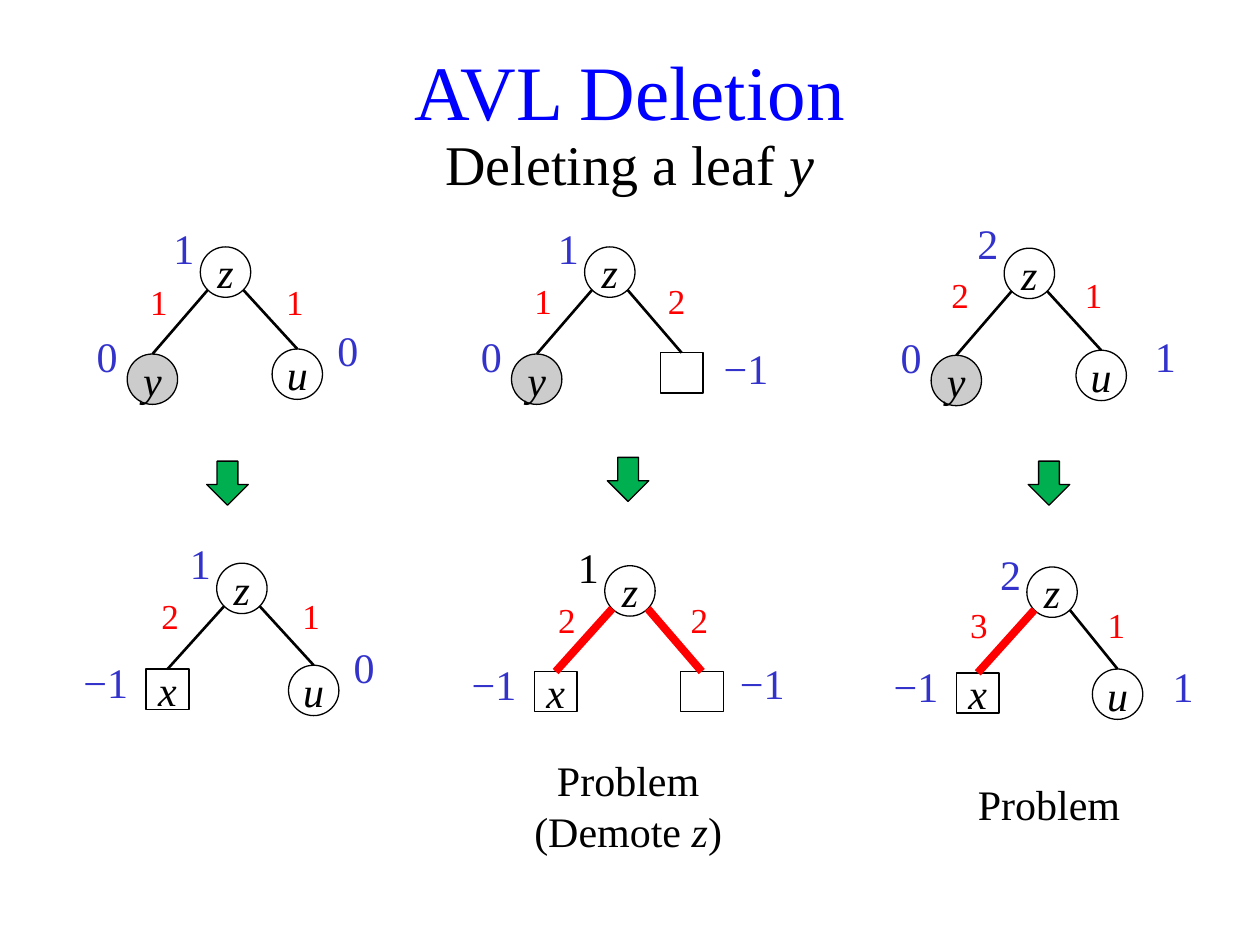
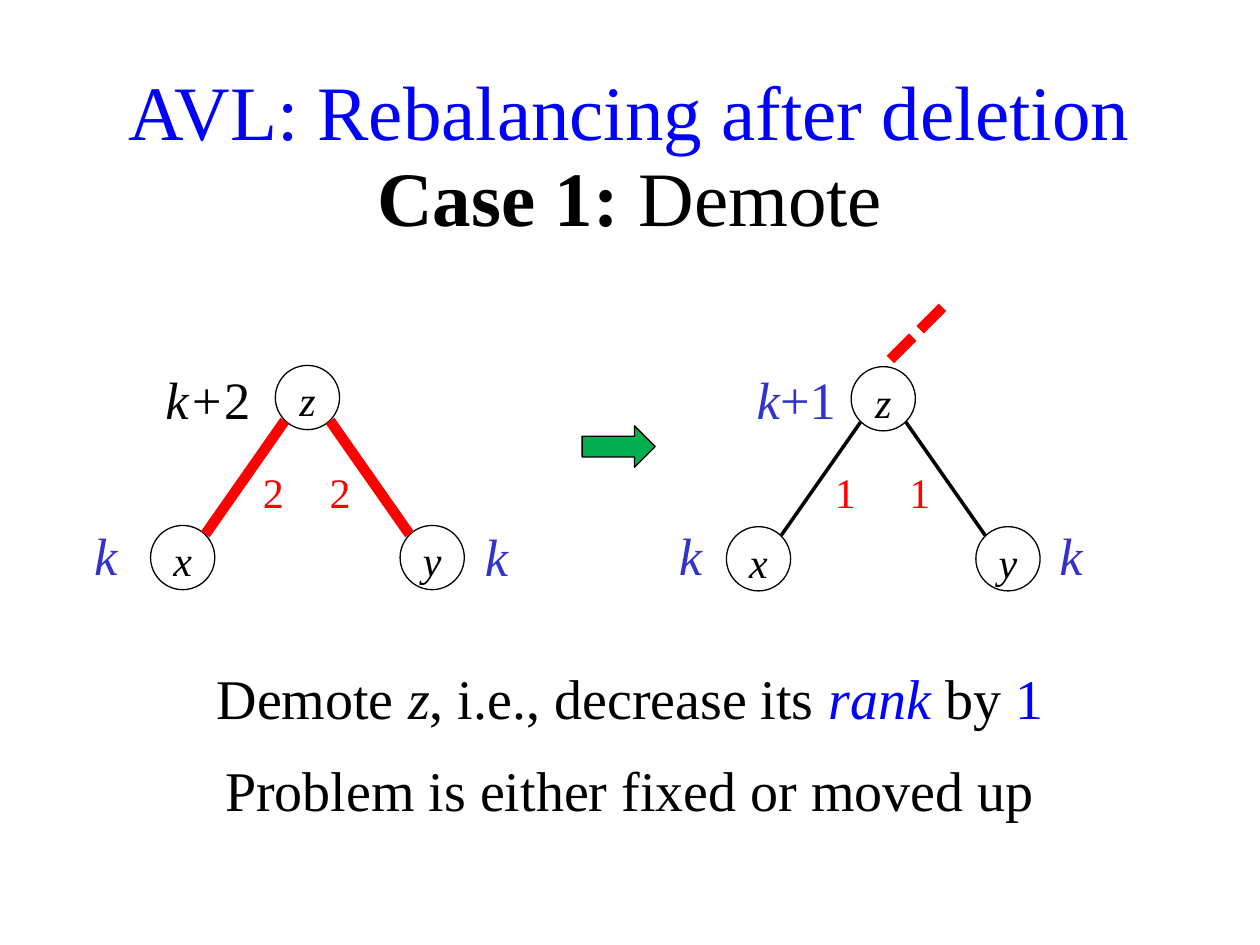
"""Build two slides on deletion and rebalancing in AVL trees."""
from dataclasses import dataclass
from typing import NamedTuple

import pptx
import pptx.dml.color
import pptx.enum.dml
import pptx.enum.shapes
import pptx.enum.text
import pptx.oxml.ns
import pptx.shapes.autoshape
import pptx.shapes.connector
import pptx.shapes.shapetree
import pptx.slide
import pptx.text.text
import pptx.util
from lxml import etree

Inches = pptx.util.Inches
Pt = pptx.util.Pt
RGBColor = pptx.dml.color.RGBColor
Kind = pptx.enum.shapes.MSO_SHAPE
Anchor = pptx.enum.text.MSO_ANCHOR
Shapes = pptx.shapes.shapetree._BaseGroupShapes

BLACK = RGBColor(0x00, 0x00, 0x00)
BLUE = RGBColor(0x00, 0x00, 0xFF)
INDIGO = RGBColor(0x33, 0x33, 0xCC)
RED = RGBColor(0xFF, 0x00, 0x00)
GREEN = RGBColor(0x00, 0xB0, 0x50)
GREY = RGBColor(0xCC, 0xCC, 0xCC)
FACE = "Times New Roman"
WIDE, HIGH = 10, 7.5
BOX_W, BOX_H = 0.34, 0.32


class Spot(NamedTuple):
    """Offset or place in inches."""
    x: float
    y: float


class Run(NamedTuple):
    """Piece of text with its own style."""
    text: str
    slant: bool = False
    bold: bool = False
    ink: RGBColor | None = None


Line = tuple[Run, ...]


class Label(NamedTuple):
    """Text placed by its top centre, relative to the root."""
    line: Line
    x: float
    y: float
    ink: RGBColor = INDIGO


@dataclass(frozen=True)
class Child:
    """Child node with its rank, its rank gap and its edge."""
    key: str
    spot: Spot
    rank: Label
    gap: Label
    box: bool = False
    fill: RGBColor | None = None
    hot: bool = False


@dataclass(frozen=True)
class Tree:
    """Root z, placed by its top centre, with two children."""
    root: Spot
    rank: Label
    kids: tuple[Child, Child]


@dataclass(frozen=True)
class Look:
    """Sizes shared by the trees of one slide."""
    node: float
    anchor: pptx.enum.text.MSO_ANCHOR
    foot: Spot
    tip: Spot
    thin: float
    thick: float
    rank_pt: int
    gap_pt: int
    label_w: float
    gap_h: float


SMALL = Look(0.4, Anchor.MIDDLE, Spot(0.14, 0.34), Spot(0, 0), 1.5, 4.5, 24, 20, 0.51, 0.53)
LARGE = Look(0.51, Anchor.TOP, Spot(0.18, 0.44), Spot(0.18, 0.07), 2, 6, 30, 24, 0.64, 0.5)


def plain(text: str) -> Line:
    """Return a line of one upright run."""
    return (Run(text),)


def mark(text: str, x: float, y: float, ink: RGBColor = INDIGO) -> Label:
    """Return an upright label."""
    return Label(plain(text), x, y, ink)


def left(key: str, rank: str, gap: Label, hot: bool = False) -> Child:
    """Return the left child: a grey leaf y or a missing node x."""
    if key == "y":
        return Child(key, Spot(-0.58, 0.85), mark(rank, -0.94, 0.61), gap, fill=GREY)
    return Child(key, Spot(-0.59, 0.84), mark(rank, -1.08, 0.69), gap, True, hot=hot)


def right(key: str, rank: Label, gap: Label, hot: bool = False, x: float = 0.57) -> Child:
    """Return the right child: a node u or an empty box."""
    return Child(key, Spot(x, 0.81 if key else 0.84), rank, gap, not key, hot=hot)


def case(root: Spot, rank: Label, keys: tuple[Label, Label], gaps: tuple[Label, Label],
         hot: bool) -> Tree:
    """Return a tree of three round nodes z, x and y."""
    kids = tuple(Child(key, Spot(x, 1.27), name, gap, hot=hot)
                 for key, x, name, gap in zip("xy", (-0.99, 0.99), keys, gaps))
    return Tree(root, rank, kids)


K = (Run("k", True),)
FOREST = (
    Tree(Spot(1.79, 1.96), mark("1", -0.33, -0.24),
         (left("y", "0", mark("1", -0.53, 0.22, RED)),
          right("u", mark("0", 0.97, 0.57), mark("1", 0.55, 0.22, RED)))),
    Tree(Spot(4.84, 1.96), mark("1", -0.33, -0.24),
         (left("y", "0", mark("1", -0.53, 0.21, RED)),
          right("", mark("−1", 1.08, 0.71), mark("2", 0.53, 0.21, RED)))),
    Tree(Spot(8.17, 1.97), mark("2", -0.33, -0.29),
         (left("y", "0", mark("2", -0.55, 0.15, RED)),
          right("u", mark("1", 1.08, 0.6), mark("1", 0.51, 0.15, RED)))),
    Tree(Spot(1.92, 4.47), mark("1", -0.33, -0.25),
         (left("x", "−1", mark("2", -0.57, 0.2, RED)),
          right("u", mark("0", 0.97, 0.57), mark("1", 0.55, 0.2, RED)))),
    Tree(Spot(5, 4.49), mark("1", -0.33, -0.24, BLACK),
         (left("x", "−1", mark("2", -0.5, 0.21, RED), True),
          right("", mark("−1", 1.05, 0.68), mark("2", 0.55, 0.21, RED), True))),
    Tree(Spot(8.35, 4.5), mark("2", -0.33, -0.2),
         (left("x", "−1", mark("3", -0.58, 0.24, RED), True),
          right("u", mark("1", 1.04, 0.69), mark("1", 0.51, 0.24, RED), x=0.52))),
)
DEMOTE = (
    case(Spot(2.44, 2.9), Label((Run("k+", True), Run("2")), -0.79, -0.04, BLACK),
         (Label(K, -1.6, 1.2), Label(K, 1.5, 1.21)),
         (mark("2", -0.27, 0.75, RED), mark("2", 0.26, 0.75, RED)), True),
    case(Spot(7.01, 2.91), Label((Run("k", True), Run("+1")), -0.69, -0.05),
         (Label(K, -1.53, 1.19), Label(K, 1.49, 1.19)),
         (mark("1", -0.3, 0.74, RED), mark("1", 0.29, 0.74, RED)), False),
)


def write(frame: pptx.text.text.TextFrame, line: Line, size: int, ink: RGBColor) -> None:
    """Fill a frame with one centred paragraph."""
    para = frame.paragraphs[0]
    para.alignment = pptx.enum.text.PP_ALIGN.CENTER
    font = para.font
    font.name, font.size, font.color.rgb = FACE, Pt(size), ink
    same = len({part.slant for part in line}) == 1
    if same and line[0].slant:
        font.italic = True
    for part in line:
        if part.text == "\n":
            para.add_line_break()
            continue
        run = para.add_run()
        run.text = part.text
        if part.slant and not same:
            run.font.italic = True
        if part.bold:
            run.font.bold = True
        if part.ink is not None:
            run.font.color.rgb = part.ink


def add_text(shapes: Shapes, line: Line, at: Spot, wide: float, high: float, size: int,
             ink: RGBColor = BLACK, anchor: pptx.enum.text.MSO_ANCHOR = Anchor.TOP) -> None:
    """Add a wrapped text box."""
    box = shapes.add_textbox(Inches(at.x), Inches(at.y), Inches(wide), Inches(high))
    frame = box.text_frame
    frame.word_wrap = True
    frame.vertical_anchor = anchor
    write(frame, line, size, ink)


def add_form(shapes: Shapes, kind: Kind, at: Spot, wide: float, high: float,
             fill: RGBColor | None = None) -> pptx.shapes.autoshape.Shape:
    """Add a preset shape with a thin black outline."""
    form = shapes.add_shape(kind, Inches(at.x), Inches(at.y), Inches(wide), Inches(high))
    form.shadow.inherit = False
    if fill is None:
        form.fill.background()
    else:
        form.fill.solid()
        form.fill.fore_color.rgb = fill
    form.line.color.rgb = BLACK
    form.line.width = Pt(0.75)
    return form


def add_edge(shapes: Shapes, start: Spot, end: Spot, width: float,
             ink: RGBColor) -> pptx.shapes.connector.Connector:
    """Add a straight line without shadow."""
    edge = shapes.add_connector(pptx.enum.shapes.MSO_CONNECTOR.STRAIGHT, Inches(start.x),
                                Inches(start.y), Inches(end.x), Inches(end.y))
    edge.line.color.rgb = ink
    edge.line.width = Pt(width)
    etree.SubElement(edge._element.spPr, pptx.oxml.ns.qn("a:effectLst"))
    return edge


def add_node(shapes: Shapes, look: Look, top: Spot, key: str, box: bool = False,
             fill: RGBColor | None = None) -> None:
    """Add a node by its top centre, round or as a box."""
    wide, high = (BOX_W, BOX_H) if box else (look.node, look.node)
    kind = Kind.RECTANGLE if box else Kind.OVAL
    node = add_form(shapes, kind, Spot(top.x - wide / 2, top.y), wide, high, fill)
    if key:
        frame = node.text_frame
        frame.margin_left = frame.margin_right = frame.margin_top = frame.margin_bottom = 0
        frame.vertical_anchor = look.anchor
        write(frame, (Run(key, True),), 24, BLACK)


def add_label(shapes: Shapes, look: Look, root: Spot, label: Label, size: int,
              high: float) -> None:
    """Add a rank or a rank gap beside the root."""
    count = sum(len(part.text) for part in label.line)
    wide = look.label_w + 0.28 * (count - 1)
    at = Spot(root.x + label.x - wide / 2, root.y + label.y)
    add_text(shapes, label.line, at, wide, high, size, label.ink)


def add_tree(slide: pptx.slide.Slide, look: Look, tree: Tree) -> None:
    """Add a tree as one group."""
    shapes = slide.shapes.add_group_shape().shapes
    root = tree.root
    add_node(shapes, look, root, "z")
    add_label(shapes, look, root, tree.rank, look.rank_pt, 0.61)
    for side, kid in zip((-1, 1), tree.kids):
        top = Spot(root.x + kid.spot.x, root.y + kid.spot.y)
        start = Spot(root.x + side * look.foot.x, root.y + look.foot.y)
        end = Spot(top.x - side * look.tip.x, top.y + look.tip.y)
        add_node(shapes, look, top, kid.key, kid.box, kid.fill)
        add_edge(shapes, start, end, look.thick if kid.hot else look.thin,
                 RED if kid.hot else BLACK)
        add_label(shapes, look, root, kid.rank, look.rank_pt, 0.61)
        add_label(shapes, look, root, kid.gap, look.gap_pt, look.gap_h)


def add_page(deck: pptx.presentation.Presentation, title: str, top: float,
             look: Look, trees: tuple[Tree, ...]) -> pptx.slide.Slide:
    """Add a slide with its title and trees."""
    slide = deck.slides.add_slide(deck.slide_layouts[6])
    add_text(slide.shapes, plain(title), Spot(0, top), WIDE, 1.02, 44, BLUE, Anchor.MIDDLE)
    for tree in trees:
        add_tree(slide, look, tree)
    return slide


def main() -> None:
    """Build and save the deck."""
    deck = pptx.Presentation()
    deck.slide_width, deck.slide_height = Inches(WIDE), Inches(HIGH)

    shapes = add_page(deck, "AVL Deletion", 0.2, SMALL, FOREST).shapes
    add_text(shapes, (Run("Deleting a leaf "), Run("y", True)), Spot(0, 0.98), WIDE, 0.64, 32)
    for at in (Spot(1.63, 3.67), Spot(4.81, 3.64), Spot(8.15, 3.67)):
        add_form(shapes, Kind.RIGHT_ARROW, at, 0.35, 0.33, GREEN).rotation = 90
    fix = (Run("Problem"), Run("\n"), Run("(Demote "), Run("z", True), Run(")"))
    add_text(shapes, fix, Spot(3.84, 5.94), 2.29, 0.91, 24)
    add_text(shapes, plain("Problem"), Spot(7.18, 6.13), 2.29, 0.5, 24)

    shapes = add_page(deck, "AVL: Rebalancing after deletion", 0.36, LARGE, DEMOTE).shapes
    add_text(shapes, (Run("Case 1:", bold=True), Run(" Demote")), Spot(0, 1.14), WIDE, 0.84, 44)
    add_form(shapes, Kind.RIGHT_ARROW, Spot(4.62, 3.38), 0.58, 0.33, GREEN)
    link = add_edge(shapes, Spot(7.48, 2.44), Spot(7.01, 2.91), 6, RED)
    link.line.dash_style = pptx.enum.dml.MSO_LINE.SQUARE_DOT
    step = (Run("Demote "), Run("z", True), Run(", i.e., decrease its "),
            Run("rank", True, ink=BLUE), Run(" by "), Run("1", ink=BLUE))
    add_text(shapes, step, Spot(0, 5.22), WIDE, 0.64, 32)
    add_text(shapes, plain("Problem is either fixed or moved up"), Spot(0, 5.95), WIDE, 0.64, 32)
    deck.save("out.pptx")


if __name__ == "__main__":
    main()
